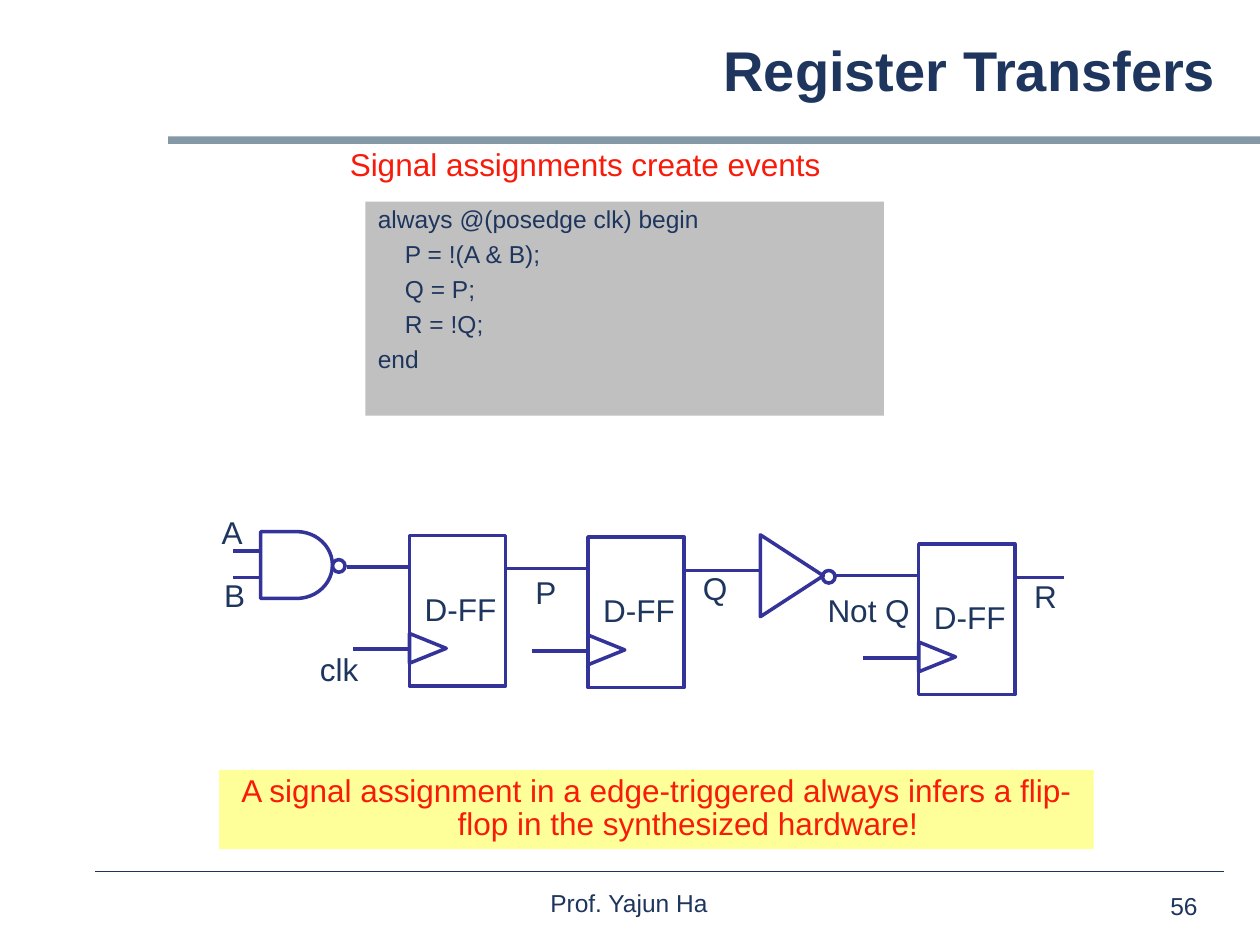
from dataclasses import dataclass

from pptx import Presentation
from pptx.dml.color import RGBColor
from pptx.enum.shapes import MSO_CONNECTOR as CONN, MSO_SHAPE as SHAPE
from pptx.enum.text import MSO_ANCHOR as ANCHOR, MSO_AUTO_SIZE as FIT, PP_ALIGN as ALIGN
from pptx.oxml.ns import qn
from pptx.util import Pt

NAVY, RED, WIRE = "1E355E", "F81B0A", "333399"


@dataclass
class Box:
    x: float
    y: float
    w: float
    h: float

    def lengths(self) -> list:
        return [Pt(v) for v in (self.x, self.y, self.w, self.h)]


@dataclass
class Line:
    x1: float
    y1: float
    x2: float
    y2: float


@dataclass
class Label:
    text: str
    box: Box


def paint(color_format, color: str) -> None:
    color_format.rgb = RGBColor.from_string(color)


def write(tf, lines: list, size: float, color: str = NAVY, align=ALIGN.LEFT,
          bold: bool = False, space: float = 0, wrap: bool = True) -> None:
    tf.word_wrap = wrap
    tf.auto_size = FIT.NONE
    for i, line in enumerate(lines):
        p = tf.paragraphs[0] if i == 0 else tf.add_paragraph()
        p.alignment = align
        p.line_spacing = 0.88
        p.space_before = Pt(space if i else 0)
        r = p.add_run()
        r.text = line
        r.font.name = "Arial"
        r.font.size = Pt(size)
        r.font.bold = bold
        paint(r.font.color, color)


def add_text(shapes, label: Label, size: float = 18, color: str = NAVY,
             align=ALIGN.LEFT, wrap: bool = False) -> None:
    tf = shapes.add_textbox(*label.box.lengths()).text_frame
    write(tf, [label.text], size, color, align, wrap=wrap)


def add_panel(shapes, box: Box, fill: str):
    sp = shapes.add_shape(SHAPE.RECTANGLE, *box.lengths())
    sp.shadow.inherit = False
    sp.fill.solid()
    paint(sp.fill.fore_color, fill)
    sp.line.fill.background()
    sp.text_frame.vertical_anchor = ANCHOR.TOP
    return sp


def add_outline(shapes, kind, box: Box, rotation: float = 0) -> None:
    sp = shapes.add_shape(kind, *box.lengths())
    sp.shadow.inherit = False
    sp.rotation = rotation
    sp.fill.background()
    paint(sp.line.color, WIRE)
    sp.line.width = Pt(2)


def add_line(shapes, line: Line, color: str = WIRE, width: float = 2) -> None:
    cn = shapes.add_connector(CONN.STRAIGHT, Pt(line.x1), Pt(line.y1),
                              Pt(line.x2), Pt(line.y2))
    paint(cn.line.color, color)
    cn.line.width = Pt(width)
    sp_pr = cn._element.spPr
    sp_pr.append(sp_pr.makeelement(qn("a:effectLst"), {}))


def add_flip_flop(shapes, x: float, y: float) -> None:
    add_outline(shapes, SHAPE.RECTANGLE, Box(x, y, 55, 86))
    add_text(shapes, Label("D-FF", Box(x + 1.6, y + 30.2, 56.2, 26.6)), wrap=True)
    add_outline(shapes, SHAPE.ISOSCELES_TRIANGLE, Box(x + 2, y + 54, 17, 21), 90)
    add_line(shapes, Line(x - 32, y + 65, x, y + 65))


def add_nand(shapes) -> None:
    gate = shapes.add_group_shape().shapes
    add_outline(gate, SHAPE.FLOWCHART_DELAY, Box(149, 303.8, 41, 38.2))
    add_outline(gate, SHAPE.OVAL, Box(190, 319.8, 7.2, 7.2))
    for y in (314.8, 330):
        add_line(gate, Line(133.2, y, 148.5, y))


def add_inverter(shapes) -> None:
    add_outline(shapes, SHAPE.ISOSCELES_TRIANGLE, Box(429.1, 311, 46.8, 36), 90)
    add_outline(shapes, SHAPE.OVAL, Box(470, 326, 7.2, 7.2))


FLIP_FLOPS = [(234, 306), (336, 306.9), (525, 310.9)]
WIRES = [
    Line(198, 324, 234, 324),
    Line(289, 325, 336, 325),
    Line(391.5, 326, 434, 326),
    Line(478, 329, 525, 329),
    Line(580, 330, 608, 330),
]
SIGNALS = [
    Label("A", Box(119.5, 292.3, 26, 26.6)),
    Label("B", Box(121, 328.3, 26, 26.6)),
    Label("clk", Box(175.7, 370.8, 36, 26.6)),
    Label("P", Box(298.8, 326.9, 26, 26.6)),
    Label("Q", Box(394.6, 324.7, 28, 26.6)),
    Label("Not Q", Box(465.8, 337, 61.2, 26.6)),
    Label("R", Box(583.9, 329, 27.4, 26.6)),
]
CODE = [
    "always @(posedge clk) begin",
    "    P = !(A & B);",
    "    Q = P;",
    "    R = !Q;",
    "end",
]


def main() -> None:
    prs = Presentation()
    prs.slide_width, prs.slide_height = Pt(720), Pt(540)
    slide = prs.slides.add_slide(prs.slide_layouts[5])
    shapes = slide.shapes

    # Header rule and footer
    add_panel(shapes, Box(96, 78, 624, 4.3), "8499A5")
    add_line(shapes, Line(54, 498, 699.5, 498), NAVY, 0.75)
    add_text(shapes, Label("56", Box(661.7, 507.6, 46.8, 18.7)), 14, wrap=True)
    add_text(shapes, Label("Prof. Yajun Ha ", Box(238.3, 506.2, 246.2, 30.2)),
             14, align=ALIGN.CENTER, wrap=True)

    # Title and subtitle
    title = shapes.title
    title.left, title.top, title.width, title.height = Box(96, 12, 606, 60).lengths()
    title.text_frame.vertical_anchor = ANCHOR.MIDDLE
    write(title.text_frame, ["Register Transfers"], 32, align=ALIGN.RIGHT, bold=True)
    add_text(shapes, Label("Signal assignments create events",
                           Box(192.8, 82, 283.7, 26.6)), color=RED)

    # Code listing
    code = add_panel(shapes, Box(208.8, 115.2, 296.4, 122.4), "C0C0C0")
    write(code.text_frame, CODE, 14, space=5.2)

    # Circuit
    add_nand(shapes)
    add_inverter(shapes)
    for x, y in FLIP_FLOPS:
        add_flip_flop(shapes, x, y)
    for wire in WIRES:
        add_line(shapes, wire)
    for signal in SIGNALS:
        add_text(shapes, signal)

    # Conclusion with a hanging indent
    banner = add_panel(shapes, Box(125.3, 439.9, 499.7, 45.4), "FFFF99")
    write(banner.text_frame, ["A signal assignment in a edge-triggered always infers "
                              "a flip-flop in the synthesized hardware!"],
          18, RED, ALIGN.CENTER)
    p_pr = banner.text_frame.paragraphs[0]._p.get_or_add_pPr()
    p_pr.set("marL", str(Pt(36)))
    p_pr.set("indent", str(Pt(-36)))

    prs.save("out.pptx")


if __name__ == "__main__":
    main()
